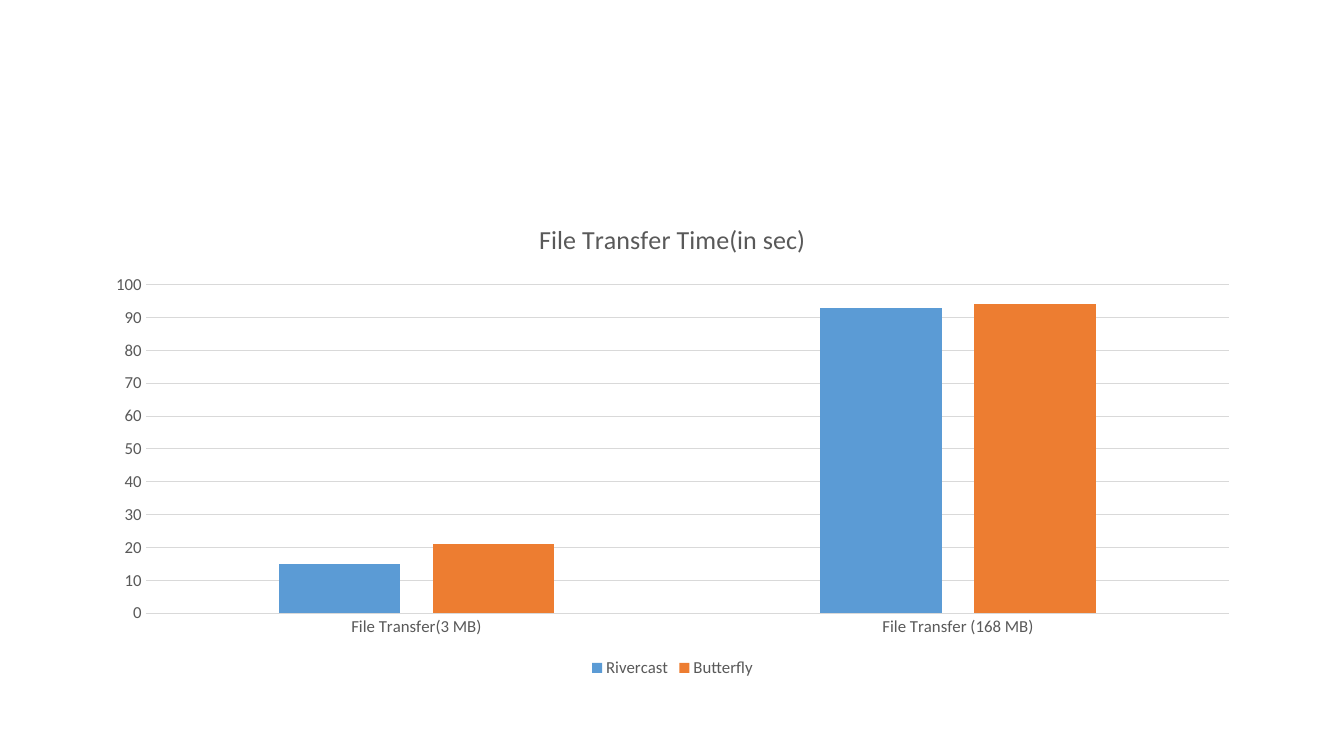
from pptx import Presentation
from pptx import util as u
from pptx.chart import data as chart_data
from pptx.dml import color
from pptx.enum import chart as kinds

COLORS = {"text": "595959", "rule": "D9D9D9", "blue": "5B9BD5", "orange": "ED7D31"}
EMU_PER_PIXEL = 914400 / 100.8


class SlideBuilder:
    """Hold the style and current slide, and add formatted elements to it."""

    font_name = "Calibri"

    def __init__(self, deck):
        self.page = deck.slides.add_slide(deck.slide_layouts[6])

    @staticmethod
    def length(pixels):
        return u.Emu(round(pixels * EMU_PER_PIXEL))

    @staticmethod
    def rgb(name):
        return color.RGBColor.from_string(COLORS[name])

    def style_font(self, font, size):
        font.name = self.font_name
        font.size = u.Pt(size)
        font.bold = False
        font.color.rgb = self.rgb("text")

    def style_line(self, line):
        line.color.rgb = self.rgb("rule")
        line.width = u.Pt(0.75)

    def style_axis(self, axis):
        axis.major_tick_mark = axis.minor_tick_mark = kinds.XL_TICK_MARK.NONE
        self.style_font(axis.tick_labels.font, 12)

    def column_chart(self, bounds, title, categories, series):
        values = chart_data.CategoryChartData()
        values.categories = categories
        for name, numbers, _ in series:
            values.add_series(name, numbers)
        chart = self.page.shapes.add_chart(
            kinds.XL_CHART_TYPE.COLUMN_CLUSTERED, *map(self.length, bounds), values
        ).chart
        self.style_font(chart.font, 12)

        chart.has_title = True
        chart.chart_title.include_in_layout = False
        heading = chart.chart_title.text_frame
        heading.text = title
        self.style_font(heading.paragraphs[0].runs[0].font, 18.6)

        chart.has_legend = True
        chart.legend.position = kinds.XL_LEGEND_POSITION.BOTTOM
        chart.legend.include_in_layout = False
        self.style_font(chart.legend.font, 12)

        for axis in (chart.category_axis, chart.value_axis):
            self.style_axis(axis)
        self.style_line(chart.category_axis.format.line)
        scale = chart.value_axis
        scale.minimum_scale, scale.maximum_scale, scale.major_unit = 0, 100, 10
        scale.format.line.fill.background()
        self.style_line(scale.major_gridlines.format.line)

        plot = chart.plots[0]
        plot.gap_width, plot.overlap = 219, -27
        plot.vary_by_categories = False
        for columns, (_, _, fill_name) in zip(plot.series, series):
            columns.format.fill.solid()
            columns.format.fill.fore_color.rgb = self.rgb(fill_name)


deck = Presentation()
deck.slide_width = SlideBuilder.length(1344)
deck.slide_height = SlideBuilder.length(756)
builder = SlideBuilder(deck)
builder.column_chart(
    (93, 202, 1159, 480),
    "File Transfer Time(in sec)",
    ["File Transfer(3 MB)", "File Transfer (168 MB)"],
    [("Rivercast", (15, 93), "blue"), ("Butterfly", (21, 94), "orange")],
)
deck.save("out.pptx")
